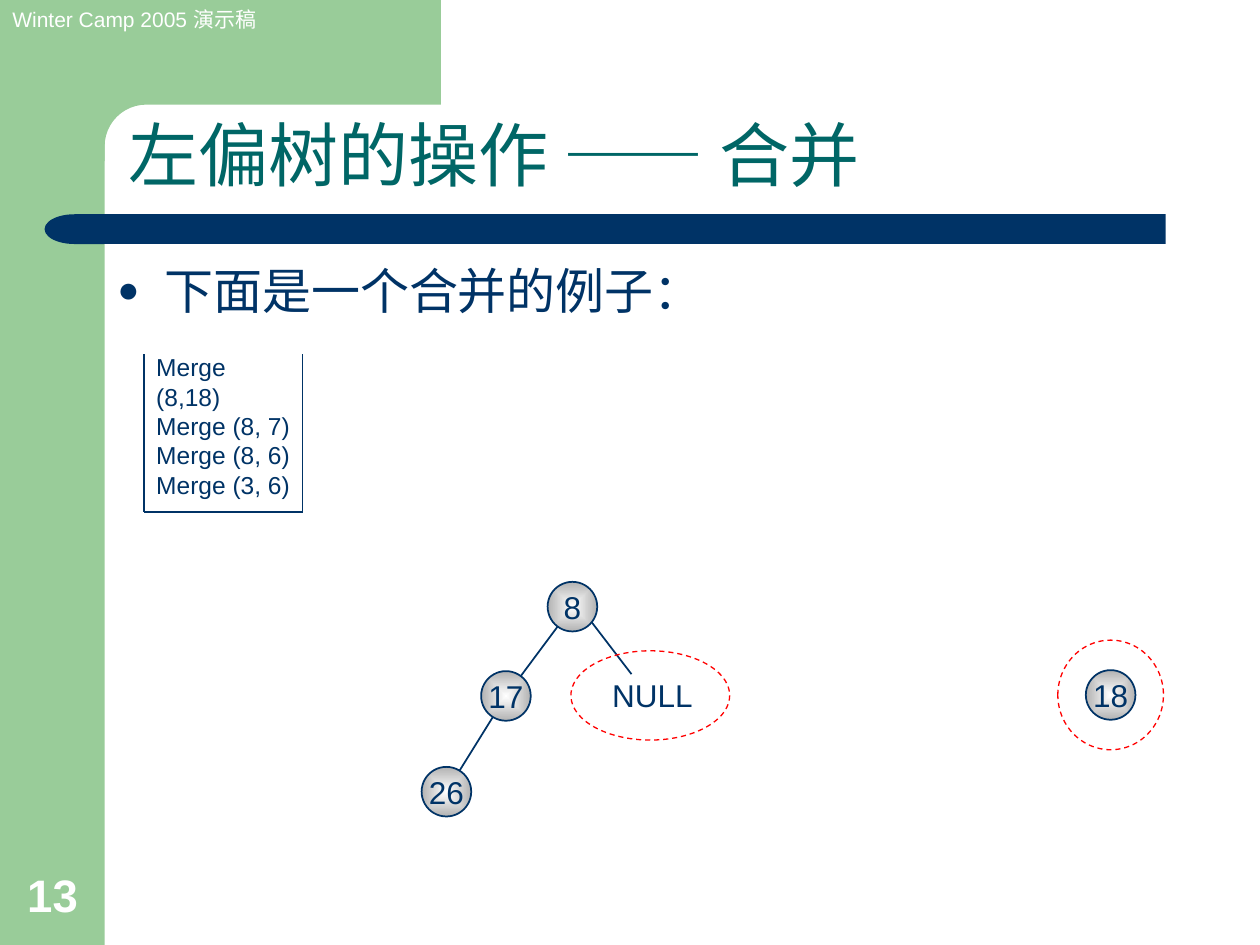
from math import cos, pi, sin

from lxml import etree
from pptx import Presentation
from pptx.dml.color import RGBColor
from pptx.enum.dml import MSO_LINE
from pptx.enum.shapes import MSO_CONNECTOR, MSO_SHAPE
from pptx.enum.text import MSO_ANCHOR, MSO_AUTO_SIZE, PP_ALIGN
from pptx.oxml import parse_xml
from pptx.oxml.ns import qn
from pptx.util import Cm, Pt

STRAIGHT = MSO_CONNECTOR.STRAIGHT
RECTANGLE, OVAL, DELAY = MSO_SHAPE.RECTANGLE, MSO_SHAPE.OVAL, MSO_SHAPE.FLOWCHART_DELAY
TOP, MIDDLE, BOTTOM = MSO_ANCHOR.TOP, MSO_ANCHOR.MIDDLE, MSO_ANCHOR.BOTTOM
LEFT, CENTER = PP_ALIGN.LEFT, PP_ALIGN.CENTER
DASH, NO_AUTOFIT = MSO_LINE.DASH, MSO_AUTO_SIZE.NONE
COLORS = {"green": "99CC99", "navy": "003366", "teal": "006666", "white": "FFFFFF",
          "gray": "B2B2B2", "red": "FF0000"}
LATIN, CJK = "Arial", "Noto Sans CJK SC"
NODE_SIZE = 1.0
NODE_GRADIENT = f"""<a:gradFill xmlns:a="http://schemas.openxmlformats.org/drawingml/2006/main"
 rotWithShape="1"><a:gsLst><a:gs pos="0"><a:srgbClr val="{COLORS['white']}"/></a:gs>
<a:gs pos="100000"><a:srgbClr val="{COLORS['gray']}"/></a:gs></a:gsLst><a:path path="rect">
<a:fillToRect l="50000" t="50000" r="50000" b="50000"/></a:path></a:gradFill>"""


def color(name):
    """Return the named colour."""
    return RGBColor.from_string(COLORS[name])


def place(shape, box):
    """Move a shape to a box given in centimetres."""
    shape.left, shape.top, shape.width, shape.height = map(Cm, box)


def style_font(paragraph, size, color_name, bold=False):
    """Set the font of a whole paragraph."""
    font = paragraph.font
    font.name, font.size, font.bold = LATIN, Pt(size), bold
    font.color.rgb = color(color_name)


def add_text(slide, box, lines, size, color_name, anchor=TOP, bold=False, wrap=True):
    """Add a text box with one paragraph per line."""
    shape = slide.shapes.add_textbox(*map(Cm, box))
    frame = shape.text_frame
    frame.word_wrap, frame.vertical_anchor = wrap, anchor
    frame.text = "\n".join(lines)
    for paragraph in frame.paragraphs:
        style_font(paragraph, size, color_name, bold)


def fill_plain(shape, color_name):
    """Give a shape a flat fill without outline or shadow."""
    shape.shadow.inherit = False
    shape.fill.solid()
    shape.fill.fore_color.rgb = color(color_name)
    shape.line.fill.background()


def add_line(slide, start, end, width):
    """Add a navy straight line between two points."""
    line = slide.shapes.add_connector(STRAIGHT, *map(Cm, (*start, *end)))
    line.line.color.rgb, line.line.width = color("navy"), Pt(width)
    etree.SubElement(line._element.spPr, qn("a:effectLst"))


def add_frame(slide, width, height):
    """Draw the green side strip and the top block with its rounded inner corner."""
    strip = 2.11
    fill_plain(slide.shapes.add_shape(RECTANGLE, 0, 0, Cm(strip), Cm(height)), "green")
    radius, inner_left, bottom = 0.84, 1.27, 3.25
    center = strip + radius
    angles = [step * pi / 24 for step in range(13)]
    arc = [(center - radius * sin(angle), center - radius * cos(angle)) for angle in angles]
    points = [(width, 0), (width, strip), *arc, (strip, bottom), (inner_left, bottom)]
    builder = slide.shapes.build_freeform(Cm(inner_left), 0, scale=1.0)
    builder.add_line_segments([(Cm(x), Cm(y)) for x, y in points])
    fill_plain(builder.convert_to_shape(), "green")


def add_title_bar(slide, left, top, width, height):
    """Draw the navy bar with a round left end."""
    cap_width = 1.2
    bar = slide.shapes.add_shape(
        RECTANGLE, *map(Cm, (left + cap_width, top, width - cap_width, height)))
    cap = slide.shapes.add_shape(DELAY, *map(Cm, (left, top, cap_width, height)))
    cap._element.spPr.find(qn("a:xfrm")).set("flipH", "1")
    for shape in (bar, cap):
        fill_plain(shape, "navy")


def fill_title(title, box):
    """Write the title, with the dash in the CJK font."""
    place(title, box)
    frame = title.text_frame
    frame.auto_size, frame.vertical_anchor = NO_AUTOFIT, BOTTOM
    paragraph = frame.paragraphs[0]
    paragraph.alignment, paragraph.line_spacing = LEFT, 0.9
    style_font(paragraph, 40, "teal")
    for text, font_name in (("左偏树的操作 ", LATIN), ("——", CJK), (" 合并", LATIN)):
        run = paragraph.add_run()
        run.text, run.font.name = text, font_name


def fill_body(body, box):
    """Write the bulleted line."""
    place(body, box)
    frame = body.text_frame
    frame.auto_size, frame.vertical_anchor = NO_AUTOFIT, TOP
    paragraph = frame.paragraphs[0]
    paragraph.text = "下面是一个合并的例子："
    paragraph.space_before = Pt(7)
    style_font(paragraph, 28, "navy")
    properties = paragraph._p.get_or_add_pPr()
    indent = Cm(0.95)
    properties.set("marL", str(indent))
    properties.set("indent", str(-indent))
    bullet = [etree.Element(qn("a:buSzPct"), val="75000"),
              etree.Element(qn("a:buChar"), char="●")]
    default_run = properties.find(qn("a:defRPr"))
    for element in bullet:
        default_run.addprevious(element)


def add_call_stack(slide, left, top, width, height):
    """Draw the open-topped stack of merge calls."""
    calls = ["Merge (8,18)", "Merge (8, 7)", "Merge (8, 6)", "Merge (3, 6)"]
    add_text(slide, (left, top - 0.18, width, height + 0.05), calls, 14, "navy", BOTTOM)
    right, bottom = left + width, top + height
    corners = [(left, top), (left, bottom), (right, bottom), (right, top)]
    for start, end in zip(corners, corners[1:]):
        add_line(slide, start, end, 0.74)


def add_node(slide, center, label):
    """Draw a shaded round tree node around its centre."""
    x, y = (value - NODE_SIZE / 2 for value in center)
    node = slide.shapes.add_shape(OVAL, *map(Cm, (x, y, NODE_SIZE, NODE_SIZE)))
    node.shadow.inherit = False
    node._element.spPr.find(qn("a:prstGeom")).addnext(parse_xml(NODE_GRADIENT))
    node.line.color.rgb, node.line.width = color("navy"), Pt(0.99)
    frame = node.text_frame
    frame.word_wrap, frame.vertical_anchor = False, MIDDLE
    paragraph = frame.paragraphs[0]
    paragraph.text, paragraph.alignment = label, CENTER
    style_font(paragraph, 18, "navy")


def add_marker(slide, center, width, height):
    """Draw a dashed red ellipse around a centre."""
    x, y = center
    marker = slide.shapes.add_shape(
        OVAL, *map(Cm, (x - width / 2, y - height / 2, width, height)))
    marker.shadow.inherit = False
    marker.fill.background()
    marker.line.color.rgb, marker.line.width = color("red"), Pt(0.74)
    marker.line.dash_style = DASH


def add_trees(slide, left, top):
    """Draw both trees relative to the top left of their area."""
    offsets = {"8": (3.04, 0.5), "17": (1.7, 2.3), "26": (0.5, 4.23), "18": (13.89, 2.28)}
    centers = {label: (left + x, top + y) for label, (x, y) in offsets.items()}
    for parent, child in (("8", "17"), ("17", "26")):
        add_line(slide, centers[parent], centers[child], 0.99)
    add_line(slide, (left + 3.41, top + 0.79), (left + 4.23, top + 1.86), 0.99)
    add_text(slide, (left + 3.59, top + 1.78, 2.21, 1.02), ["NULL"], 18, "navy", wrap=False)
    add_marker(slide, (left + 4.61, top + 2.29), 3.2, 1.8)
    add_marker(slide, centers["18"], 2.13, 2.21)
    for label, center in centers.items():
        add_node(slide, center, label)


def build_merge_slide(presentation):
    """Assemble the merge example slide."""
    slide = presentation.slides.add_slide(presentation.slide_layouts[1])
    add_frame(slide, 8.89, 19.05)
    add_title_bar(slide, 0.9, 4.32, 22.6, 0.6)
    fill_title(slide.shapes.title, (2.34, 2.36, 21.13, 1.73))
    fill_body(slide.placeholders[1], (2.11, 5.13, 21.41, 12.4))
    add_text(slide, (0, 0, 5.79, 0.76), ["Winter Camp 2005 演示稿"], 12, "white")
    add_text(slide, (0.3, 17.35, 1.63, 1.35), ["13"], 26, "white", BOTTOM, True, False)
    add_call_stack(slide, 2.9, 7.14, 3.2, 3.18)
    add_trees(slide, 8.5, 11.73)


presentation = Presentation()
presentation.slide_width, presentation.slide_height = Cm(25.4), Cm(19.05)
build_merge_slide(presentation)
presentation.save("out.pptx")
